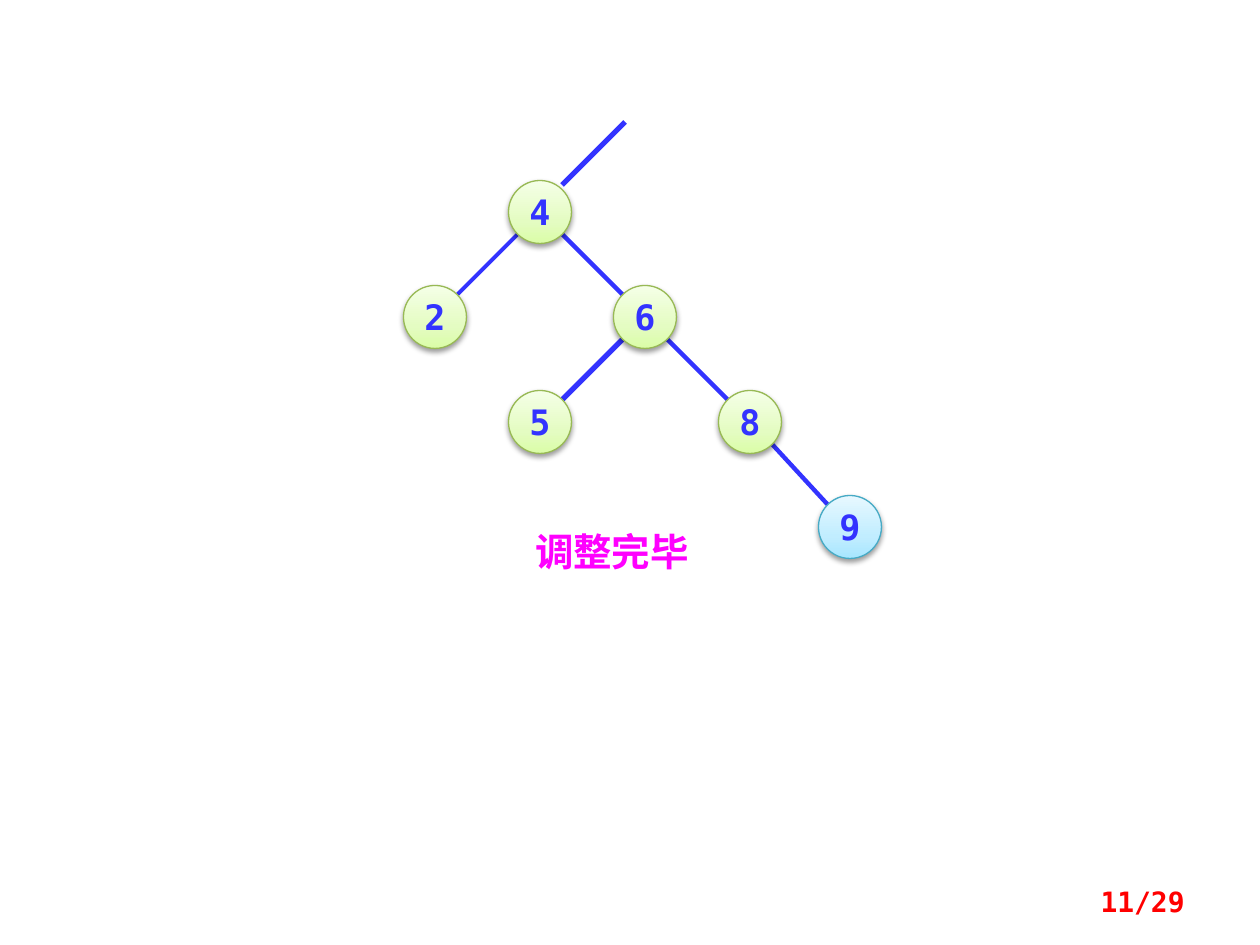
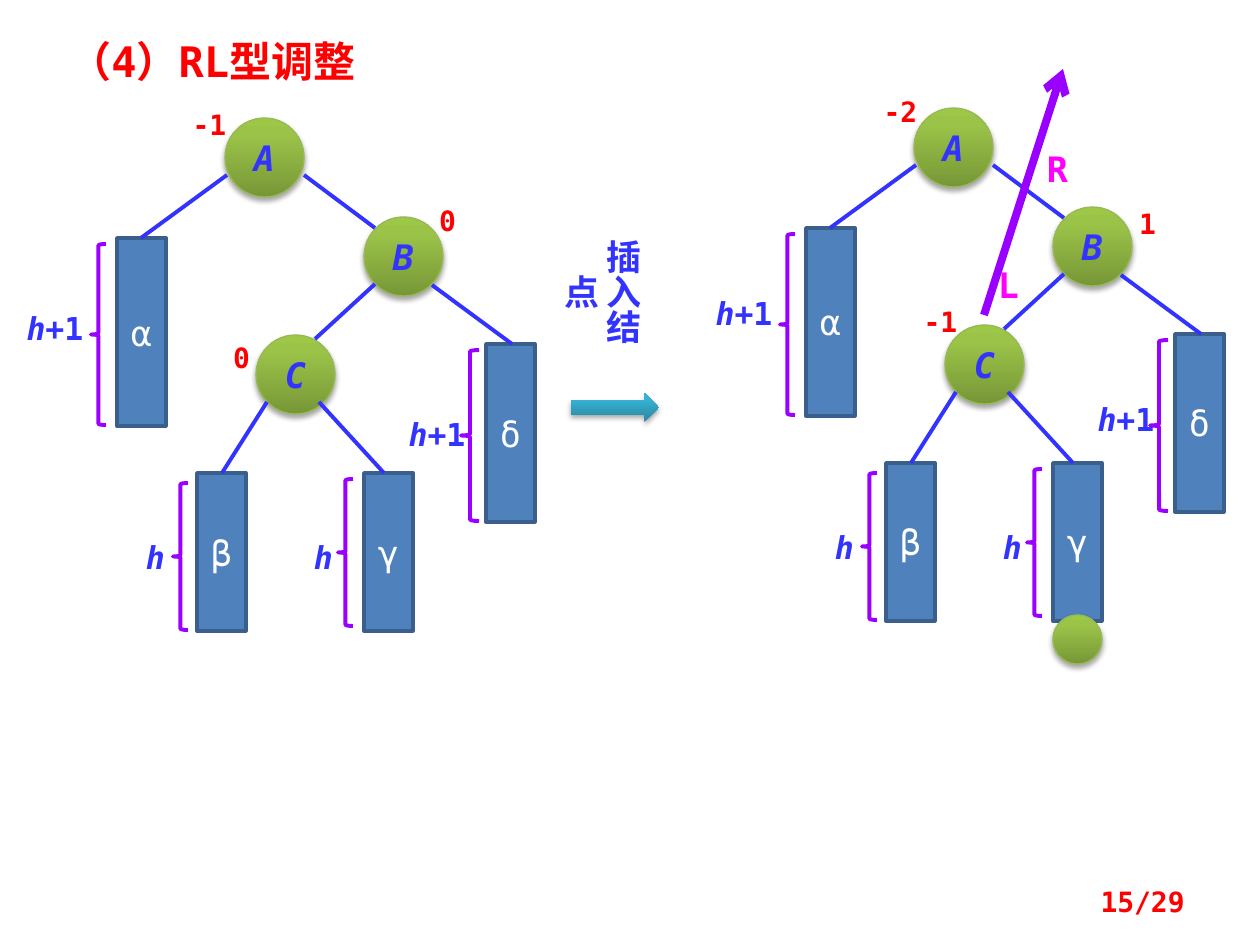
import copy

import pptx
import pptx.dml.color
import pptx.enum.shapes
import pptx.enum.text
import pptx.oxml
import pptx.oxml.ns
import pptx.util

EMU_PER_PX = 914400 / 126
FONT = "DejaVu Sans Mono"
COLORS = {
    "blue": "3333FF", "red": "FF0000", "magenta": "FF00FF", "purple": "9900FF",
    "white": "FFFFFF", "subtree": "4F81BD", "subtree_edge": "3A5F8C",
    "green_edge": "98B955", "cyan_edge": "46AAC5", "shadow": "000000",
}
GRADIENTS = {
    "light_green": [(0, "DAFDA7"), (0.35, "E4FCC2"), (1, "F5FFE7")],
    "light_cyan": [(0, "A7E6FF"), (0.35, "C1EDFF"), (1, "E7F8FF")],
    "green": [(0, "779737"), (0.8, "9BC348"), (1, "9DC746")],
    "teal": [(0, "2A88A2"), (0.8, "37B1D2"), (1, "34B4D6")],
}
SHAPE = pptx.enum.shapes.MSO_SHAPE
ALIGN = pptx.enum.text.PP_ALIGN
MIDDLE = pptx.enum.text.MSO_ANCHOR.MIDDLE
GROW = pptx.enum.text.MSO_AUTO_SIZE.SHAPE_TO_FIT_TEXT

NODE_SIZE = 63
NODE_STEP = 105
EDGE_INSET = 21
LETTER_SIZE = 79
SUBTREE_WIDTH = 49
RIGHT_TREE = (689, -10)


def px(*lengths):
    return [pptx.util.Emu(round(length * EMU_PER_PX)) for length in lengths]


def rgb(value):
    return pptx.dml.color.RGBColor.from_string(value)


def write(shape, text, size, color, bold=True, italic=False, align=ALIGN.CENTER):
    paragraph = shape.text_frame.paragraphs[0]
    paragraph.alignment = align
    paragraph.font.name = FONT
    paragraph.font.size = pptx.util.Pt(size)
    paragraph.font.bold = bold
    paragraph.font.italic = italic
    paragraph.font.color.rgb = rgb(COLORS[color])
    paragraph.add_run().text = text
    return paragraph


def clear_margins(frame):
    frame.margin_left = frame.margin_right = frame.margin_top = frame.margin_bottom = 0


def add_text(slide, box, text, size, color, margins=True, grow=True, **style):
    shape = slide.shapes.add_textbox(*px(*box))
    frame = shape.text_frame
    frame.word_wrap = True
    if grow:
        frame.auto_size = GROW
    else:
        frame.vertical_anchor = MIDDLE
    if not margins:
        clear_margins(frame)
    write(shape, text, size, color, **style)
    return shape


def add_preset(slide, preset, box, line=None, width=0.75):
    shape = slide.shapes.add_shape(preset, *px(*box))
    shape.shadow.inherit = False
    if line:
        shape.line.color.rgb = rgb(COLORS[line])
        shape.line.width = pptx.util.Pt(width)
    else:
        shape.line.fill.background()
    clear_margins(shape.text_frame)
    shape.text_frame.vertical_anchor = MIDDLE
    return shape


def fill_gradient(shape, name):
    shape.fill.gradient()
    shape.fill.gradient_angle = 90
    stop_list = shape._element.spPr.find(".//" + pptx.oxml.ns.qn("a:gsLst"))
    stop_list.append(copy.deepcopy(stop_list[0]))
    for stop, (position, color) in zip(shape.fill.gradient_stops, GRADIENTS[name]):
        stop.position = position
        stop.color.rgb = rgb(color)


def add_shadow(shape, distance, opacity):
    effects = shape._element.spPr.find(pptx.oxml.ns.qn("a:effectLst"))
    effects.append(pptx.oxml.parse_xml(
        f'<a:outerShdw {pptx.oxml.ns.nsdecls("a")} blurRad="{pptx.util.Pt(3.1)}" '
        f'dist="{pptx.util.Pt(distance)}" dir="5400000" rotWithShape="0">'
        f'<a:srgbClr val="{COLORS["shadow"]}"><a:alpha val="{opacity}000"/></a:srgbClr>'
        '</a:outerShdw>'))


def add_line(slide, start, end, width=2.25, color="blue", arrow=False):
    connector = slide.shapes.add_connector(
        pptx.enum.shapes.MSO_CONNECTOR.STRAIGHT, *px(*start, *end))
    connector.line.color.rgb = rgb(COLORS[color])
    connector.line.width = pptx.util.Pt(width)
    namespace = pptx.oxml.ns.nsdecls("a")
    if arrow:
        connector.line._get_or_add_ln().append(
            pptx.oxml.parse_xml(f'<a:tailEnd {namespace} type="arrow"/>'))
    connector._element.spPr.append(pptx.oxml.parse_xml(f"<a:effectLst {namespace}/>"))


def add_number_node(slide, center, text, gradient, line):
    x, y = (value - NODE_SIZE / 2 for value in center)
    shape = add_preset(slide, SHAPE.OVAL, (x, y, NODE_SIZE, NODE_SIZE), line)
    fill_gradient(shape, gradient)
    add_shadow(shape, 1.6, 38)
    shape.text_frame.word_wrap = False
    write(shape, text, 20, "blue")


def add_green_circle(slide, x, y, size):
    shape = add_preset(slide, SHAPE.OVAL, (x, y, size, size), "green_edge")
    fill_gradient(shape, "green")
    add_shadow(shape, 1.8, 35)
    return shape


def add_subtree(slide, x, y, height, letter):
    shape = add_preset(slide, SHAPE.RECTANGLE, (x, y, SUBTREE_WIDTH, height),
                       "subtree_edge", 2)
    shape.fill.solid()
    shape.fill.fore_color.rgb = rgb(COLORS["subtree"])
    write(shape, letter, 20, "white", bold=False)


def add_brace(slide, box):
    brace = add_preset(slide, SHAPE.LEFT_BRACE, box, "purple", 2.25)
    brace.fill.background()


def add_height_label(slide, x, y, increment):
    width = 68 if increment else 49
    shape = add_text(slide, (x, y, width, 38), "h", 18, "blue", margins=False)
    paragraph = shape.text_frame.paragraphs[0]
    paragraph.runs[0].font.italic = True
    if increment:
        paragraph.add_run().text = increment


def add_balance_tree(slide, offset, label_rise, balances):
    dx, dy = offset
    for letter, x, y in (("A", 225, 118), ("B", 364, 217), ("C", 256, 335)):
        circle = add_green_circle(slide, x + dx, y + dy, LETTER_SIZE)
        write(circle, letter, 20, "blue", italic=True)
    subtrees = (
        ("α", (117, 238, 188), (91, 244, 15, 181), (21, 309), "+1"),
        ("β", (197, 473, 158), (173, 483, 15, 147), (131, 538), ""),
        ("γ", (364, 473, 158), (338, 479, 15, 147), (299, 538), ""),
        ("δ", (486, 344, 178), (461, 350, 18, 171), (403, 415), "+1"),
    )
    for letter, (x, y, height), brace, label, increment in subtrees:
        add_subtree(slide, x + dx, y + dy, height, letter)
        add_brace(slide, (brace[0] + dx, brace[1] + dy, *brace[2:]))
        rise = label_rise if increment else 0
        add_height_label(slide, label[0] + dx, label[1] + dy - rise, increment)
    edges = (
        (227, 175, 141, 238), (304, 175, 375, 228), (375, 284, 315, 339),
        (432, 285, 512, 344), (267, 402, 222, 473), (319, 402, 384, 473),
    )
    for x1, y1, x2, y2 in edges:
        add_line(slide, (x1 + dx, y1 + dy), (x2 + dx, y2 + dy))
    for text, x, y in balances:
        add_text(slide, (x, y, 49, 34), text, 16, "red", margins=False)


def add_page_number(slide, text):
    add_text(slide, (903, 876, 294, 50), text, 16, "red", grow=False, align=ALIGN.RIGHT)


def build_adjusted_tree(slide):
    add_text(slide, (493, 522, 238, 59), "调整完毕", 22, "magenta")
    root_x, root_y = 540, 212
    centers = {
        number: (root_x + column * NODE_STEP, root_y + row * NODE_STEP)
        for number, column, row in (("4", 0, 0), ("2", -1, 1), ("6", 1, 1),
                                    ("5", 0, 2), ("8", 2, 2))
    }
    centers["9"] = (850, root_y + 3 * NODE_STEP)
    add_line(slide, (625, 122), (562, 185), 3)
    for parent, child, width in (("4", "2", 2.25), ("4", "6", 2.5), ("6", "5", 3),
                                 ("6", "8", 2.5), ("8", "9", 2.5)):
        (x1, y1), (x2, y2) = centers[parent], centers[child]
        shift = EDGE_INSET if x2 > x1 else -EDGE_INSET
        add_line(slide, (x1 + shift, y1 + EDGE_INSET), (x2 - shift, y2 - EDGE_INSET), width)
    for number, center in centers.items():
        style = ("light_cyan", "cyan_edge") if number == "9" else ("light_green", "green_edge")
        add_number_node(slide, center, number, *style)
    add_page_number(slide, "11/29")


def build_rl_adjustment(slide):
    add_text(slide, (57, 29, 407, 63), "（4）RL型调整", 24, "red", align=ALIGN.LEFT)
    insert_arrow = add_preset(slide, SHAPE.RIGHT_ARROW, (571, 393, 88, 29))
    fill_gradient(insert_arrow, "teal")
    add_shadow(insert_arrow, 1.8, 35)
    insert_label = add_text(slide, (582, 227, 68, 158), "插入结点", 20, "blue")
    insert_label.text_frame._txBody.bodyPr.set("vert", "eaVert")
    add_balance_tree(slide, (0, 0), 0,
                     (("-1", 185, 108), ("0", 423, 204), ("0", 217, 341)))
    add_balance_tree(slide, RIGHT_TREE, 5,
                     (("-2", 876, 95), ("1", 1123, 207), ("-1", 916, 305)))
    add_green_circle(slide, 1053, 615, 49)
    for turn, x, y in (("R", 1033, 147), ("L", 984, 263)):
        add_text(slide, (x, y, 49, 43), turn, 20, "magenta", margins=False)
    add_line(slide, (984, 315), (1063, 69), 4.5, "purple", arrow=True)
    add_page_number(slide, "15/29")


def main():
    presentation = pptx.Presentation()
    presentation.slide_width, presentation.slide_height = px(1260, 945)
    for build in (build_adjusted_tree, build_rl_adjustment):
        build(presentation.slides.add_slide(presentation.slide_layouts[6]))
    presentation.save("out.pptx")


if __name__ == "__main__":
    main()
